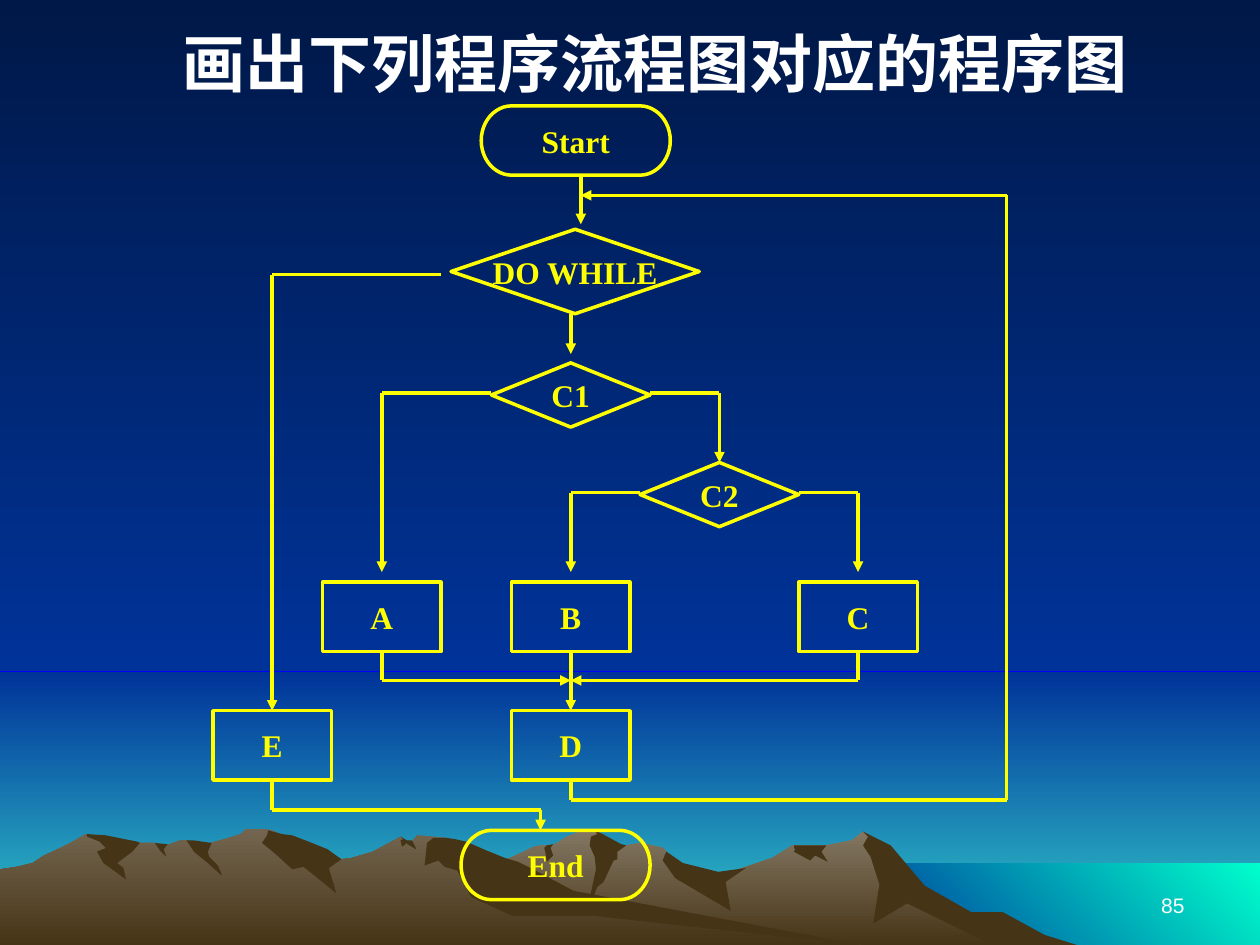
from itertools import pairwise

from lxml import etree
from pptx import Presentation
from pptx import util as u
from pptx.dml import color
from pptx.enum import shapes, text
from pptx.oxml import ns

PX = u.Inches(1) // 100
COLORS = {
    "base": "0000FF", "night": "001847", "blue": "003399", "horizon": "33CCCC",
    "sea": "00FFCC", "rock": "847864", "ridge": "73654F", "earth": "463416",
    "chart": "FFFF00", "white": "FFFFFF",
}

EAST_RANGE = [
    (802, 82), (778, 69), (764, 65), (723, 40), (702, 13), (685, 2), (676, 9),
    (656, 13), (629, 13), (613, 23), (566, 39), (536, 32), (529, 18), (526, 15),
    (509, 11), (497, 13), (486, 15), (474, 3), (471, 0), (465, 0), (450, 6),
    (444, 10), (438, 13), (430, 13), (424, 14), (418, 17), (405, 23), (394, 27),
    (355, 40), (327, 51), (277, 81), (258, 93), (821, 93)]
WEST_RANGE = [
    (690, 93), (667, 90), (432, 54), (354, 7), (331, 5), (327, 10), (323, 10),
    (318, 6), (296, 18), (279, 23), (271, 24), (260, 18), (236, 23), (223, 5),
    (219, 2), (212, 0), (195, 0), (191, 4), (178, 8), (160, 13), (148, 9),
    (143, 9), (132, 13), (128, 13), (123, 11), (111, 11), (94, 13), (68, 4),
    (56, 11), (46, 16), (35, 21), (26, 27), (14, 30), (0, 32), (0, 93)]
EAST_SHADOWS = [
    [(796, 66), (771, 66), (734, 45), (707, 13), (685, 2), (689, 6), (685, 13),
     (691, 22), (698, 44), (693, 75), (720, 59), (792, 94), (858, 93), (829, 84)],
    [(471, 0), (474, 4), (469, 6), (468, 13), (472, 22), (473, 32), (465, 69),
     (474, 46), (479, 42), (487, 25), (490, 24), (490, 18), (497, 13), (493, 12)],
    [(529, 18), (528, 20), (526, 25), (536, 39), (580, 65), (576, 42), (592, 31),
     (570, 34), (542, 27)],
    [(650, 13), (630, 13), (631, 17), (630, 18), (643, 25), (647, 21), (657, 26),
     (652, 18), (656, 13)],
    [(433, 19), (432, 15), (434, 13), (439, 12), (437, 15), (439, 21), (434, 26)],
]
WEST_SHADOWS = [
    [(212, 5), (208, 11), (219, 20), (232, 32), (241, 30), (267, 51), (261, 31),
     (271, 24), (260, 16), (245, 10), (232, 5), (224, 4), (213, 1)],
    [(370, 10), (361, 8), (354, 7), (344, 7), (339, 11), (337, 29), (348, 25),
     (353, 30), (363, 33), (374, 54), (407, 69), (472, 69), (690, 93), (683, 92),
     (455, 49), (427, 34), (411, 26), (401, 23), (386, 17)],
    [(318, 9), (320, 8), (318, 6), (323, 9), (327, 9), (330, 15), (330, 16),
     (322, 11), (322, 12), (319, 14)],
    [(154, 9), (168, 11), (165, 18), (166, 22), (173, 29), (176, 36), (176, 37),
     (165, 27), (154, 18), (148, 9)],
    [(133, 12), (130, 16), (132, 22), (127, 17), (123, 11)],
    [(109, 10), (111, 11), (105, 18), (93, 27), (98, 31), (100, 40), (82, 27),
     (77, 18), (84, 15), (79, 10), (69, 6), (69, 4), (84, 5), (94, 7)],
]

TERMINATOR = shapes.MSO_SHAPE.FLOWCHART_TERMINATOR
DECISION = shapes.MSO_SHAPE.FLOWCHART_DECISION
PROCESS = shapes.MSO_SHAPE.FLOWCHART_PROCESS
NODES = [
    ("Start", TERMINATOR, 213, 0, 150, 55),
    ("DO WHILE", DECISION, 189, 98, 197, 67),
    ("C1", DECISION, 221, 204, 126, 51),
    ("C2", DECISION, 339, 283, 126, 51),
    ("A", PROCESS, 87, 378, 94, 55),
    ("B", PROCESS, 237, 378, 94, 55),
    ("C", PROCESS, 465, 378, 94, 55),
    ("D", PROCESS, 237, 480, 94, 55),
    ("E", PROCESS, 0, 480, 94, 55),
    ("End", TERMINATOR, 197, 575, 150, 55),
]
ROUTES = [
    [(292, 55), (292, 94)],
    [(284, 165), (284, 197)],
    [(221, 228), (134, 228), (134, 370)],
    [(347, 228), (402, 228), (402, 283)],
    [(339, 307), (284, 307), (284, 370)],
    [(465, 307), (512, 307), (512, 370)],
    [(284, 433), (284, 480)],
    [(134, 433), (134, 456), (284, 456)],
    [(512, 433), (512, 456), (284, 456)],
    [(181, 134), (47, 134), (47, 480)],
    [(47, 535), (47, 559), (260, 559), (260, 575)],
    [(284, 535), (284, 551), (630, 551), (630, 71), (292, 71)],
]


def rgb(name):
    """Return the named palette colour."""
    return color.RGBColor.from_string(COLORS[name])


def scaled(*lengths):
    """Turn px lengths into EMU."""
    return [length * PX for length in lengths]


def paint(shape, names, angle=270):
    """Fill a borderless shape with one colour or a two-colour gradient."""
    shape.shadow.inherit = False
    shape.line.fill.background()
    if len(names) == 1:
        shape.fill.solid()
        shape.fill.fore_color.rgb = rgb(names[0])
        return
    shape.fill.gradient()
    shape.fill.gradient_angle = angle
    for stop, name, position in zip(shape.fill.gradient_stops, names, (0, 1)):
        stop.color.rgb = rgb(name)
        stop.position = position


def write(frame, words, font, size, tint, bold, align, anchor):
    """Write one formatted run into a text frame."""
    frame.vertical_anchor = anchor
    para = frame.paragraphs[0]
    para.alignment = align
    span = para.add_run()
    span.text = words
    span.font.name = font
    span.font.size = u.Pt(size)
    span.font.bold = bold
    span.font.color.rgb = rgb(tint)


def add_band(page, box, names, angle=270):
    """Add a gradient rectangle filling the box."""
    band = page.shapes.add_shape(shapes.MSO_SHAPE.RECTANGLE, *scaled(*box))
    paint(band, names, angle)


def add_mountains(page, box):
    """Draw both mountain ranges and their shadows from the box corner."""
    layers = [(EAST_RANGE, ["rock", "earth"])]
    layers += [(shadow, ["earth"]) for shadow in EAST_SHADOWS]
    layers += [(WEST_RANGE, ["ridge", "earth"])]
    layers += [(shadow, ["earth"]) for shadow in WEST_SHADOWS]
    for points, names in layers:
        builder = page.shapes.build_freeform(*points[0], scale=PX)
        builder.add_line_segments(points[1:], close=True)
        paint(builder.convert_to_shape(*scaled(*box[:2])), names)


def add_title(page, box, words):
    """Place the title placeholder in the box, above the scenery."""
    title = page.shapes.title
    title.element.getparent().append(title.element)
    title.left, title.top, title.width, title.height = scaled(*box)
    write(title.text_frame, words, "Arial", 36, "white", True,
          text.PP_ALIGN.CENTER, text.MSO_ANCHOR.MIDDLE)


def add_node(page, box, kind, words):
    """Add one outlined flowchart symbol with its label."""
    node = page.shapes.add_shape(kind, *scaled(*box))
    node.shadow.inherit = False
    node.fill.background()
    node.line.color.rgb = rgb("chart")
    node.line.width = u.Pt(2)
    node.text_frame.word_wrap = False
    write(node.text_frame, words, "Times New Roman", 18, "chart", True,
          text.PP_ALIGN.CENTER, text.MSO_ANCHOR.MIDDLE)


def add_route(page, points):
    """Join the points with straight lines, with an arrowhead at the end."""
    for start, end in pairwise(points):
        line = page.shapes.add_connector(
            shapes.MSO_CONNECTOR.STRAIGHT, *scaled(*start, *end))
        line.line.color.rgb = rgb("chart")
        line.line.width = u.Pt(2)
        properties = line.element.spPr
        if end == points[-1]:
            outline = properties.find(ns.qn("a:ln"))
            etree.SubElement(outline, ns.qn("a:tailEnd"), type="triangle")
        etree.SubElement(properties, ns.qn("a:effectLst"))


def add_flowchart(page, box):
    """Draw the flowchart symbols and routes from the box corner."""
    left, top = box[:2]
    for words, kind, x, y, width, height in NODES:
        add_node(page, (left + x, top + y, width, height), kind, words)
    for route in ROUTES:
        add_route(page, [(left + x, top + y) for x, y in route])


def add_page_number(page, box, words):
    """Add the page number at the lower right of the box."""
    frame = page.shapes.add_textbox(*scaled(*box)).text_frame
    frame.word_wrap = True
    write(frame, words, "Arial", 12, "white", False,
          text.PP_ALIGN.RIGHT, text.MSO_ANCHOR.BOTTOM)


def main():
    """Build and save the slide."""
    deck = Presentation()
    deck.slide_width, deck.slide_height = scaled(1000, 750)
    page = deck.slides.add_slide(deck.slide_layouts[5])
    page.background.fill.solid()
    page.background.fill.fore_color.rgb = rgb("base")
    add_band(page, (0, 533, 1000, 217), ["blue", "horizon"])
    add_band(page, (0, 0, 1000, 533), ["night", "blue"])
    add_band(page, (683, 685, 317, 67), ["blue", "sea"], 45)
    add_mountains(page, (0, 658, 858, 94))
    add_title(page, (75, 0, 890, 99), "画出下列程序流程图对应的程序图")
    add_flowchart(page, (169, 84, 630, 630))
    add_page_number(page, (717, 683, 233, 50), "85")
    deck.save("out.pptx")


if __name__ == "__main__":
    main()
